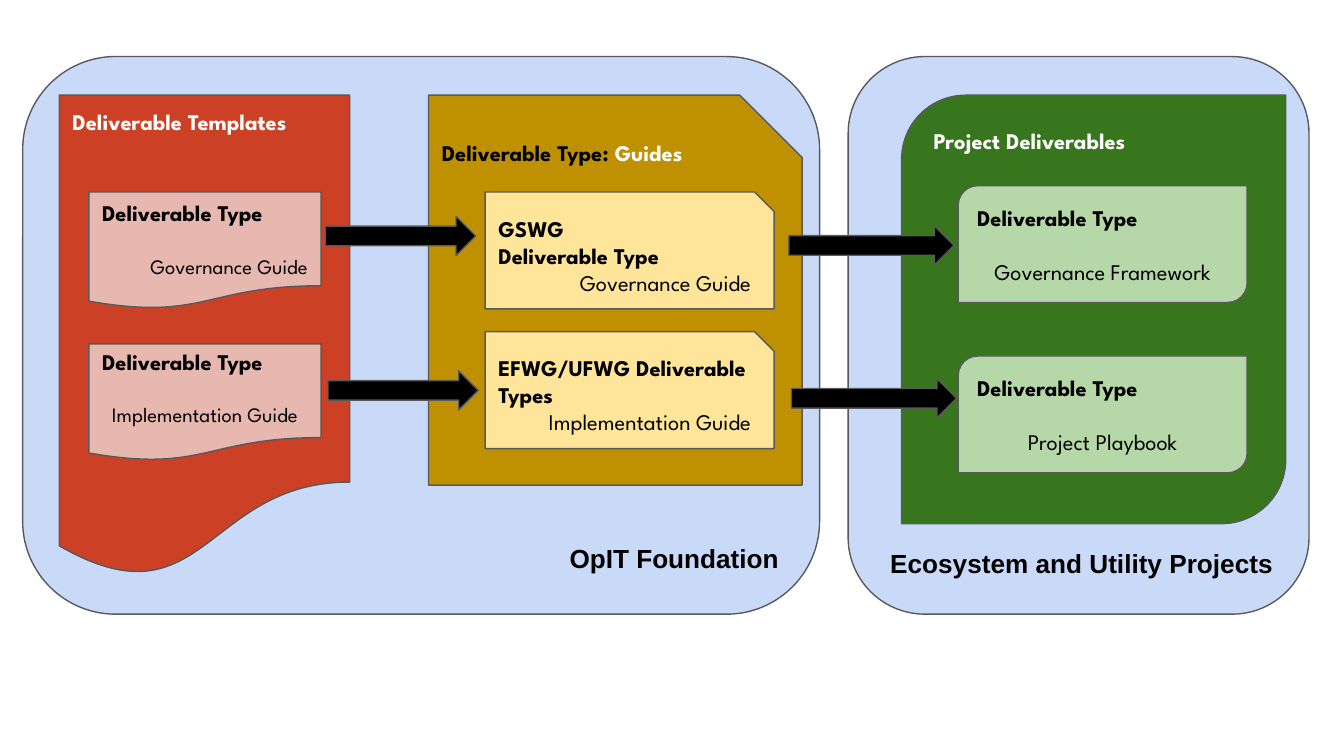
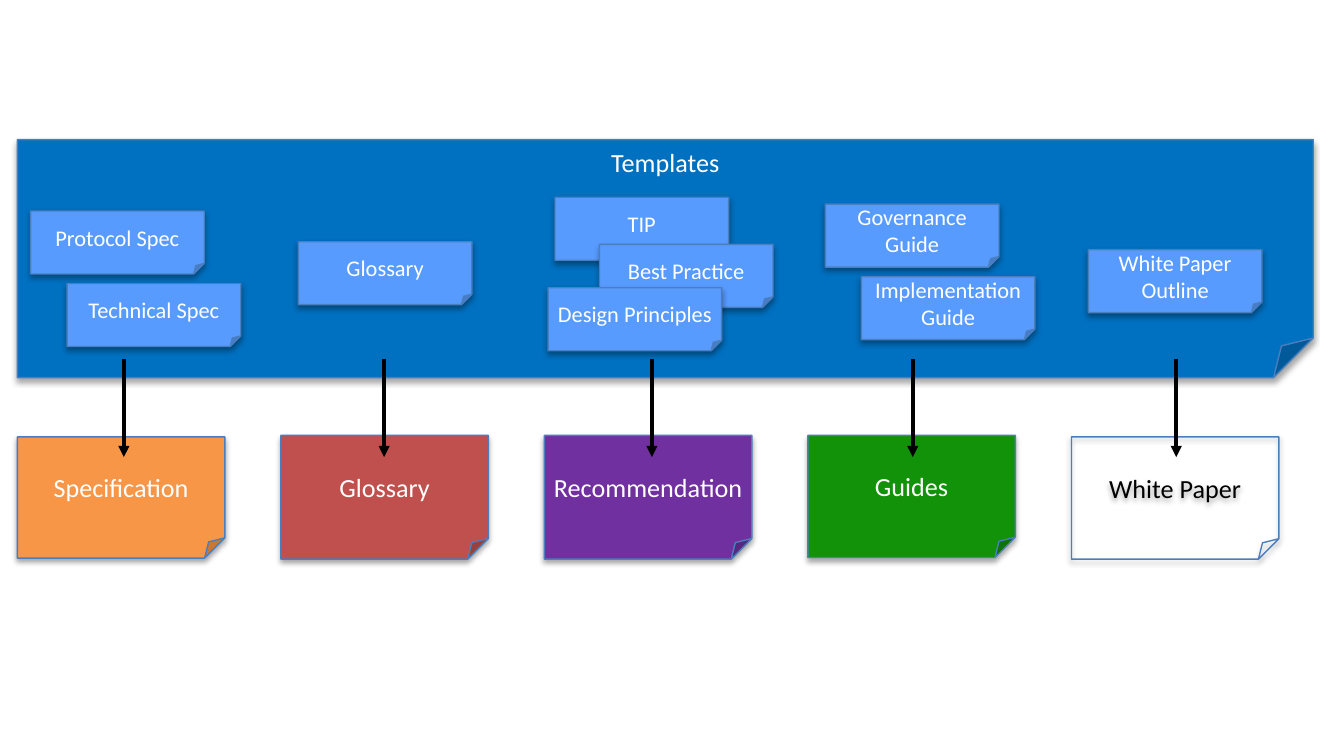
import pptx
import pptx.util
import pptx.dml.color
import pptx.enum.shapes
import pptx.enum.text
import pptx.oxml
import pptx.oxml.ns

Cm, Pt = pptx.util.Cm, pptx.util.Pt
KIND = pptx.enum.shapes.MSO_SHAPE
SIDE = {"l": pptx.enum.text.PP_ALIGN.LEFT, "c": pptx.enum.text.PP_ALIGN.CENTER,
        "r": pptx.enum.text.PP_ALIGN.RIGHT}
ANCHOR = {"t": pptx.enum.text.MSO_ANCHOR.TOP, "m": pptx.enum.text.MSO_ANCHOR.MIDDLE,
          "b": pptx.enum.text.MSO_ANCHOR.BOTTOM}

BLACK, WHITE, GREY, EDGE = "000000", "FFFFFF", "595959", "4B7EBC"
ZONE, CARD = "C9DAF8", "589BFF"
SPARTAN, ARIAL, CALIBRI = "League Spartan", "Arial", "Calibri"
LINE = 14.5

ZONES = [
    ((16.03, 1.07, 8.71, 10.54), "Ecosystem and Utility Projects"),
    ((0.43, 1.07, 15.06, 10.54), "OpIT Foundation"),
]

TYPE = ("Deliverable Type", "l", True, 12, 0)
GROUPS = [
    {"kind": KIND.ROUND_2_DIAG_RECTANGLE, "box": (17.04, 1.8, 7.26, 8.1),
     "fill": "38761D", "head": [("Project Deliverables", WHITE)],
     "tint": "B6D7A8", "left": 18.11, "size": (5.46, 2.21), "anchor": "m", "pad": (0, 0),
     "cards": [
         (3.51, 0, [TYPE, ("Governance Framework", "c", False, 12, LINE)]),
         (6.73, 0, [TYPE, ("Project Playbook", "c", False, 12, LINE)])]},
    {"kind": KIND.FLOWCHART_DOCUMENT, "box": (1.12, 1.8, 5.49, 9.12),
     "fill": "CC4125", "head": [("Deliverable Templates", WHITE)],
     "tint": "E6B8AF", "left": 1.68, "size": (4.39, 2.21), "anchor": "m", "pad": (0, 0),
     "cards": [
         (3.63, 0, [TYPE, ("Governance Guide", "r", False, 11, LINE)]),
         (6.5, 0.11, [TYPE, ("Implementation Guide", "c", False, 11, LINE)])]},
    {"kind": KIND.SNIP_1_RECTANGLE, "box": (8.1, 1.8, 7.06, 7.37),
     "fill": "BF9000", "head": [("Deliverable Type: ", BLACK), ("Guides", WHITE)],
     "tint": "FFE599", "left": 9.17, "size": (5.46, 2.21), "anchor": "t", "pad": (0.25, 0.25),
     "cards": [
         (3.63, 0, [("GSWG", "l", True, 12, 0), TYPE,
                    ("Governance Guide", "r", False, 12, 0)]),
         (6.27, 0, [("EFWG/UFWG Deliverable Types", "l", True, 12, 0),
                    ("Implementation Guide", "r", False, 12, 0)])]},
]
ARROWS = [(6.15, 4.09, 2.84), (6.2, 7.01, 2.84), (14.91, 4.27, 3.12), (14.96, 7.16, 3.12)]

PANEL = ((0.33, 2.64, 24.49, 4.5), "0070C0", "Templates")
FIRST, PITCH, WIDTH = 0.33, 4.98, 3.92
CARD_SIZE = (3.28, 1.19)
FROM, TO = 6.78, 8.64
TYPES = [
    ("Specification", "F79646", WHITE, 8.26, 2.29, 2.34,
     [(0.58, 3.99, ["Protocol Spec"]), (1.27, 5.36, ["Technical Spec"])]),
    ("Glossary", "C0504D", WHITE, 8.23, 2.34, 7.26,
     [(5.64, 4.57, ["Glossary"])]),
    ("Recommendation", "7030A0", WHITE, 8.23, 2.34, 12.32,
     [(10.49, 3.73, ["TIP"]), (11.33, 4.62, ["Best Practice"]),
      (10.36, 5.44, ["Design Principles"])]),
    ("Guides", "119209", WHITE, 8.23, 2.31, 17.25,
     [(15.6, 3.86, ["Governance", "Guide"]), (16.28, 5.23, ["Implementation Guide"])]),
    ("White Paper", None, BLACK, 8.26, 2.31, 22.23,
     [(20.57, 4.72, ["White Paper Outline"])]),
]


def tone(code):
    return pptx.dml.color.RGBColor.from_string(code)


def draw(slide, kind, box, fill, edge):
    shape = slide.shapes.add_shape(kind, *map(Cm, box))
    shape.shadow.inherit = False
    if fill:
        shape.fill.solid()
        shape.fill.fore_color.rgb = tone(fill)
    else:
        shape.fill.background()
    shape.line.color.rgb = tone(edge)
    shape.line.width = Pt(0.75)
    return shape


def frame(shape, anchor, side, top, base):
    text = shape.text_frame
    text.word_wrap = True
    text.vertical_anchor = ANCHOR[anchor]
    text.margin_left = text.margin_right = Cm(side)
    text.margin_top, text.margin_bottom = Cm(top), Cm(base)
    return text


def style(run, font, size, color, bold=False):
    run.font.name = font
    run.font.size = Pt(size)
    run.font.bold = bold
    run.font.color.rgb = tone(color)


def write(text, rows, font, color):
    text.text = "\n".join(row[0] for row in rows)
    for para, (_, side, bold, size, gap) in zip(text.paragraphs, rows):
        para.alignment = SIDE[side]
        para.space_before = Pt(gap)
        style(para.runs[0], font, size, color, bold)


def group(slide, part):
    shape = draw(slide, part["kind"], part["box"], part["fill"], GREY)
    para = frame(shape, "t", 0.25, 0.25, 0.25).paragraphs[0]
    para.alignment = SIDE["l"]
    for words, color in part["head"]:
        run = para.add_run()
        run.text = words
        style(run, SPARTAN, 12, color, True)
    for top, lift, rows in part["cards"]:
        card = draw(slide, part["kind"], (part["left"], top, *part["size"]), part["tint"], GREY)
        high, low = part["pad"]
        write(frame(card, part["anchor"], 0.25, high, low + lift), rows, SPARTAN, BLACK)


def folded(slide, box, fill, lines, size, color=WHITE, anchor="m"):
    shape = draw(slide, KIND.FOLDED_CORNER, box, fill, EDGE)
    glow = shape._element.spPr.find(pptx.oxml.ns.qn("a:effectLst"))
    glow.append(pptx.oxml.parse_xml(
        f'<a:outerShdw {pptx.oxml.ns.nsdecls("a")} blurRad="{Pt(3.1)}" dist="{Pt(1.8)}" '
        'dir="5400000" rotWithShape="0"><a:srgbClr val="000000"><a:alpha val="35000"/>'
        '</a:srgbClr></a:outerShdw>'))
    rows = [(line, "c", False, size, 0) for line in lines]
    write(frame(shape, anchor, 0, 0.13, 0.13), rows, CALIBRI, color)


def drop(slide, x):
    link = slide.shapes.add_connector(
        pptx.enum.shapes.MSO_CONNECTOR.STRAIGHT, Cm(x), Cm(FROM), Cm(x), Cm(TO))
    link.line.color.rgb = tone(BLACK)
    link.line.width = Pt(2)
    space = pptx.oxml.ns.nsdecls("a")
    link.line._get_or_add_ln().append(
        pptx.oxml.parse_xml(f'<a:tailEnd {space} type="triangle"/>'))
    link._element.spPr.append(pptx.oxml.parse_xml(f'<a:effectLst {space}/>'))


def flow(slide):
    for box, name in ZONES:
        shape = draw(slide, KIND.ROUNDED_RECTANGLE, box, ZONE, GREY)
        write(frame(shape, "b", 0.25, 0.25, 0.25), [(name, "r", True, 14, 0)], ARIAL, BLACK)
    for part in GROUPS:
        group(slide, part)
    for x, y, width in ARROWS:
        draw(slide, KIND.RIGHT_ARROW, (x, y, width, 0.74), BLACK, GREY)


def chart(slide):
    box, fill, name = PANEL
    folded(slide, box, fill, [name], 14, anchor="t")
    for i, (name, fill, color, top, height, axis, cards) in enumerate(TYPES):
        folded(slide, (FIRST + i * PITCH, top, WIDTH, height), fill, [name], 14, color)
        for x, y, lines in cards:
            folded(slide, (x, y, *CARD_SIZE), CARD, lines, 12)
        drop(slide, axis)


def main():
    deck = pptx.Presentation()
    deck.slide_width, deck.slide_height = Cm(25.4), Cm(14.29)
    for build in (flow, chart):
        build(deck.slides.add_slide(deck.slide_layouts[6]))
    deck.save("out.pptx")


if __name__ == "__main__":
    main()
